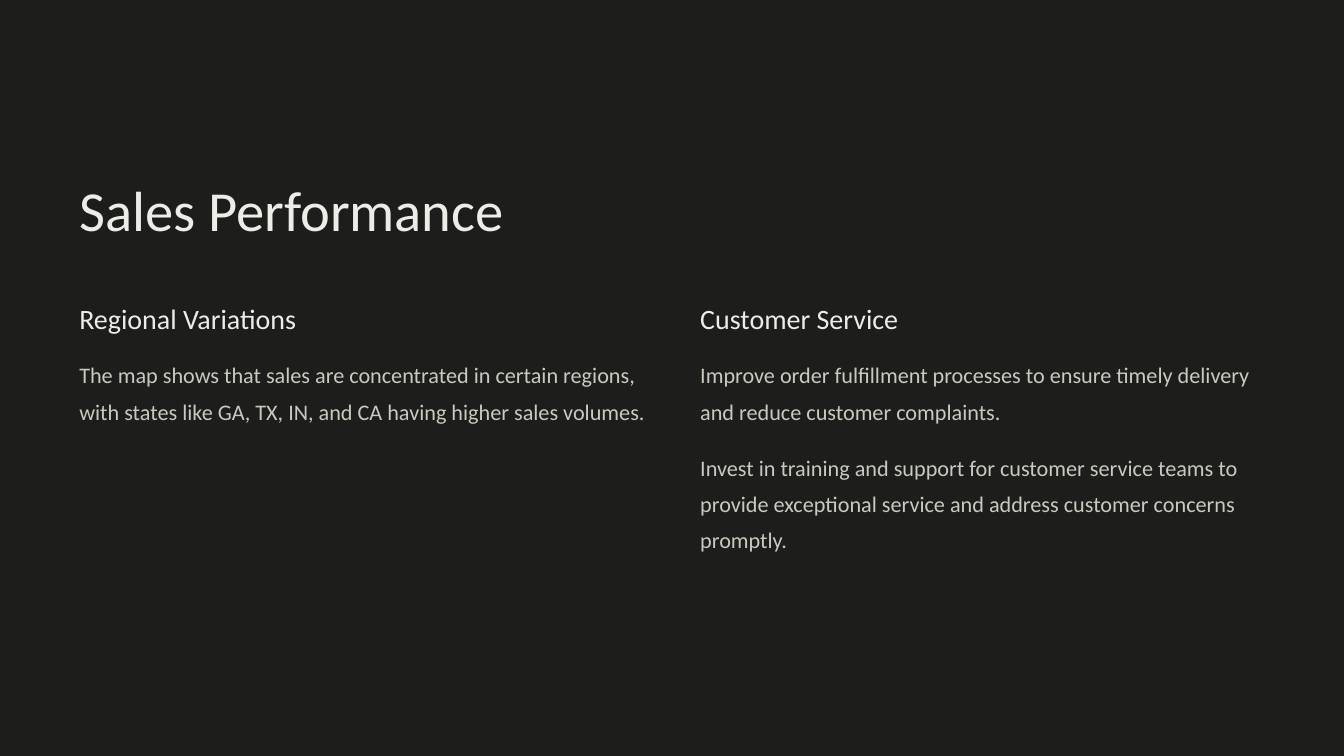
from dataclasses import dataclass

from pptx import Presentation
from pptx.dml.color import RGBColor
from pptx.enum.shapes import MSO_SHAPE
from pptx.enum.text import MSO_AUTO_SIZE
from pptx.slide import Slide
from pptx.util import Inches, Pt

CHARCOAL = RGBColor(0x1D, 0x1D, 0x1B)
IVORY = RGBColor(0xED, 0xED, 0xE8)
STONE = RGBColor(0xC9, 0xC9, 0xC0)

FRAME_FORMAT = {
    "margin_left": 0,
    "margin_top": 0,
    "margin_right": 0,
    "margin_bottom": 0,
    "word_wrap": True,
    "auto_size": MSO_AUTO_SIZE.SHAPE_TO_FIT_TEXT,
}

HEADING_TOP = 4.46
BODY_TOP = 5.24
BODY_GAP = 0.19
LINE_HEIGHT = 0.54
BODY_PADDING = 0.11


@dataclass(frozen=True)
class TextStyle:
    size: float
    leading: float
    color: RGBColor


@dataclass(frozen=True)
class Passage:
    text: str
    lines: int


@dataclass(frozen=True)
class Column:
    left: float
    heading: str
    passages: tuple[Passage, ...]


TITLE = TextStyle(60.6, 75.6, IVORY)
HEADING = TextStyle(30, 37.5, IVORY)
BODY = TextStyle(23.8, 38.8, STONE)

COLUMNS = (
    Column(1.18, "Regional Variations", (
        Passage("The map shows that sales are concentrated in certain regions, "
                "with states like GA, TX, IN, and CA having higher sales volumes.", 3),
    )),
    Column(10.42, "Customer Service", (
        Passage("Improve order fulfillment processes to ensure timely delivery "
                "and reduce customer complaints.", 2),
        Passage("Invest in training and support for customer service teams to provide "
                "exceptional service and address customer concerns promptly.", 3),
    )),
)


def add_text(slide: Slide, text: str, style: TextStyle,
             left: float, top: float, width: float, height: float) -> None:
    box = slide.shapes.add_textbox(Inches(left), Inches(top), Inches(width), Inches(height))
    frame = box.text_frame
    for name, value in FRAME_FORMAT.items():
        setattr(frame, name, value)
    paragraph = frame.paragraphs[0]
    paragraph.line_spacing = Pt(style.leading)
    run = paragraph.add_run()
    run.text = text
    for name, value in {"name": "Calibri", "size": Pt(style.size)}.items():
        setattr(run.font, name, value)
    run.font.color.rgb = style.color


def add_column(slide: Slide, column: Column) -> None:
    """Place a heading with its passages stacked below at equal gaps."""
    add_text(slide, column.heading, HEADING, column.left, HEADING_TOP, 4.22, 0.56)
    top = BODY_TOP
    for passage in column.passages:
        height = passage.lines * LINE_HEIGHT + BODY_PADDING
        add_text(slide, passage.text, BODY, column.left, top, 8.41, height)
        top += height + BODY_GAP


def main() -> None:
    presentation = Presentation()
    presentation.slide_width = Inches(20)
    presentation.slide_height = Inches(11.25)
    slide = presentation.slides.add_slide(presentation.slide_layouts[6])

    backdrop = slide.shapes.add_shape(
        MSO_SHAPE.RECTANGLE, 0, 0, presentation.slide_width, presentation.slide_height)
    backdrop.shadow.inherit = False
    backdrop.fill.solid()
    backdrop.fill.fore_color.rgb = CHARCOAL
    backdrop.line.fill.background()

    add_text(slide, "Sales Performance", TITLE, COLUMNS[0].left, 2.56, 8.44, 1.09)
    for column in COLUMNS:
        add_column(slide, column)

    presentation.save("out.pptx")


if __name__ == "__main__":
    main()
